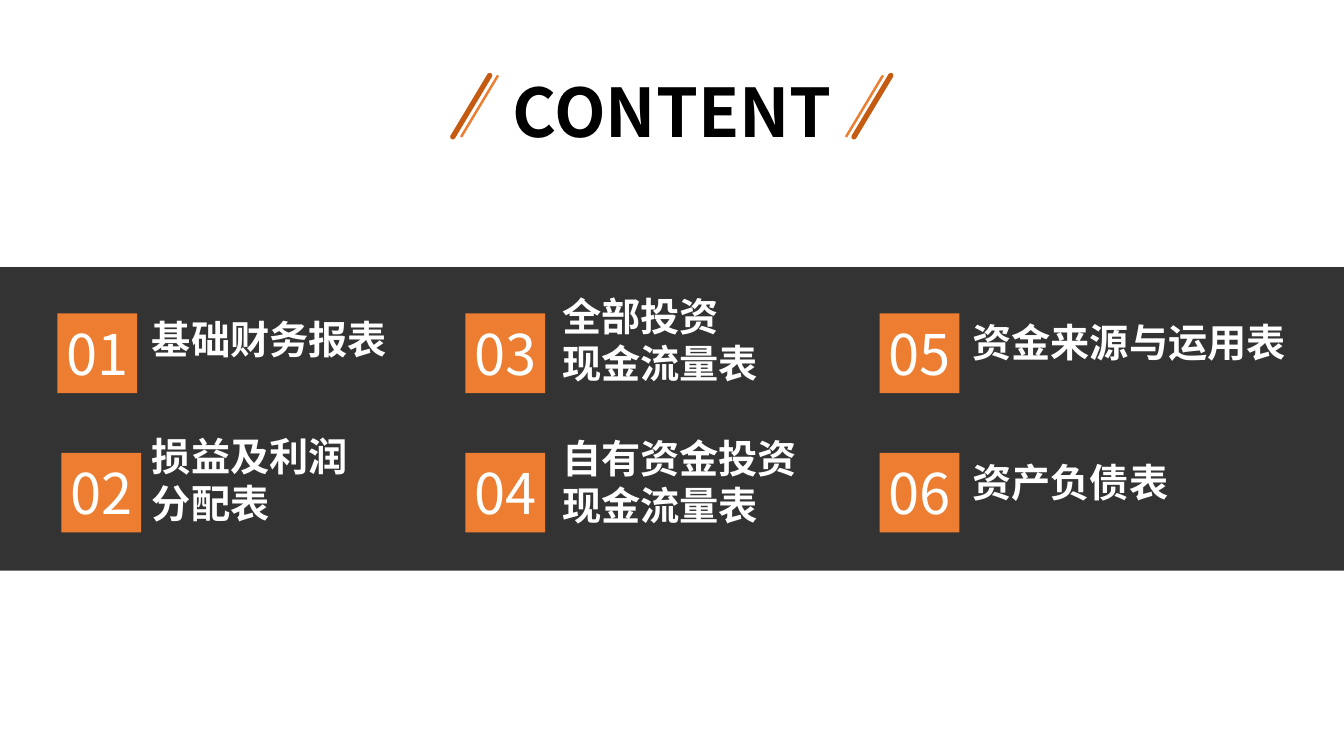
import pptx
import pptx.util
import pptx.dml.color
import pptx.enum.shapes
import pptx.enum.text
import pptx.oxml.ns
from lxml import etree

Cm = pptx.util.Cm
Pt = pptx.util.Pt
Rgb = pptx.dml.color.RGBColor.from_string
qn = pptx.oxml.ns.qn
FONT = "Noto Sans CJK SC"
COLOURS = {"black": "000000", "white": "FFFFFF", "orange": "ED7D31", "rust": "C55A11"}

deck = pptx.Presentation()
deck.slide_width, deck.slide_height = Cm(33.87), Cm(19.05)
page = deck.slides.add_slide(deck.slide_layouts[6])


def add_rectangle(left, top, width, height, colour):
    shape = page.shapes.add_shape(
        pptx.enum.shapes.MSO_SHAPE.RECTANGLE, Cm(left), Cm(top), Cm(width), Cm(height))
    shape.shadow.inherit = False
    shape.fill.solid()
    shape.fill.fore_color.rgb = Rgb(COLOURS[colour])
    shape.line.fill.background()
    return shape


def add_text(left, top, width, height, lines, colour, align, anchor, wrap, **formats):
    box = page.shapes.add_textbox(Cm(left), Cm(top), Cm(width), Cm(height))
    frame = box.text_frame
    frame.word_wrap = wrap
    frame.auto_size = pptx.enum.text.MSO_AUTO_SIZE.SHAPE_TO_FIT_TEXT
    frame.vertical_anchor = anchor
    for index, line in enumerate(lines):
        para = frame.add_paragraph() if index else frame.paragraphs[0]
        para.alignment = align
        span = para.add_run()
        span.text = line
        for name, value in {"name": FONT, **formats}.items():
            setattr(span.font, name, value)
        span.font.color.rgb = Rgb(COLOURS[colour])
        etree.SubElement(span.font._element, qn("a:ea"), typeface=FONT)


LEFT = pptx.enum.text.PP_ALIGN.LEFT
CENTER = pptx.enum.text.PP_ALIGN.CENTER
TOP = pptx.enum.text.MSO_ANCHOR.TOP
MIDDLE = pptx.enum.text.MSO_ANCHOR.MIDDLE

# Dark band, black at 80 percent
band = add_rectangle(-0.12, 6.73, 33.99, 7.65, "black")
band_colour = band.fill._xPr.find(qn("a:solidFill"))[0]
etree.SubElement(band_colour, qn("a:alpha"), val="80000")

# Title
add_text(12.4, 1.65, 9.09, 2.31, ["CONTENT"], "black", CENTER, TOP, False,
         size=Pt(48), bold=True)

# Slanted strokes on both sides of the title
for right, colour, weight, cap in [
    (12.55, "orange", 1.75, "flat"),
    (22.25, "orange", 1.75, "flat"),
    (22.45, "rust", 3.75, "rnd"),
    (12.34, "rust", 3.75, "rnd"),
]:
    stroke = page.shapes.add_connector(
        pptx.enum.shapes.MSO_CONNECTOR.STRAIGHT,
        Cm(right), Cm(1.9), Cm(right - 0.93), Cm(3.45))
    stroke.line.color.rgb = Rgb(COLOURS[colour])
    stroke.line.width = Pt(weight)
    stroke.line._ln.set("cap", cap)
    etree.SubElement(stroke._element.spPr, qn("a:effectLst"))

# Contents, column by column: tile left, label left, label middle, label width, lines
TILE = 2.01
NUMBER_WIDTH = 2.5
entries = [
    (1.45, 3.58, 8.55, 6.65, ["基础财务报表"]),
    (1.55, 3.58, 12.09, 10.24, ["损益及利润", "分配表"]),
    (11.73, 13.92, 8.56, 10.19, ["全部投资", "现金流量表"]),
    (11.73, 13.92, 12.14, 11.73, ["自有资金投资", "现金流量表"]),
    (22.17, 24.26, 8.62, 8.59, ["资金来源与运用表"]),
    (22.17, 24.26, 12.15, 7.14, ["资产负债表"]),
]
for index, (tile_left, label_left, middle, width, lines) in enumerate(entries):
    tile_top = 7.9 + index % 2 * 3.51
    height = 0.26 + 1.19 * len(lines)
    add_text(label_left, middle - height / 2, width, height, lines, "white",
             LEFT, MIDDLE, True, size=Pt(28), bold=True)
    add_rectangle(tile_left, tile_top, TILE, TILE, "orange")
    add_text(tile_left + (TILE - NUMBER_WIDTH) / 2, tile_top + 0.02, NUMBER_WIDTH, 1.96,
             [f"{index + 1:02}"], "white", CENTER, MIDDLE, True, size=Pt(40))

deck.save("out.pptx")
